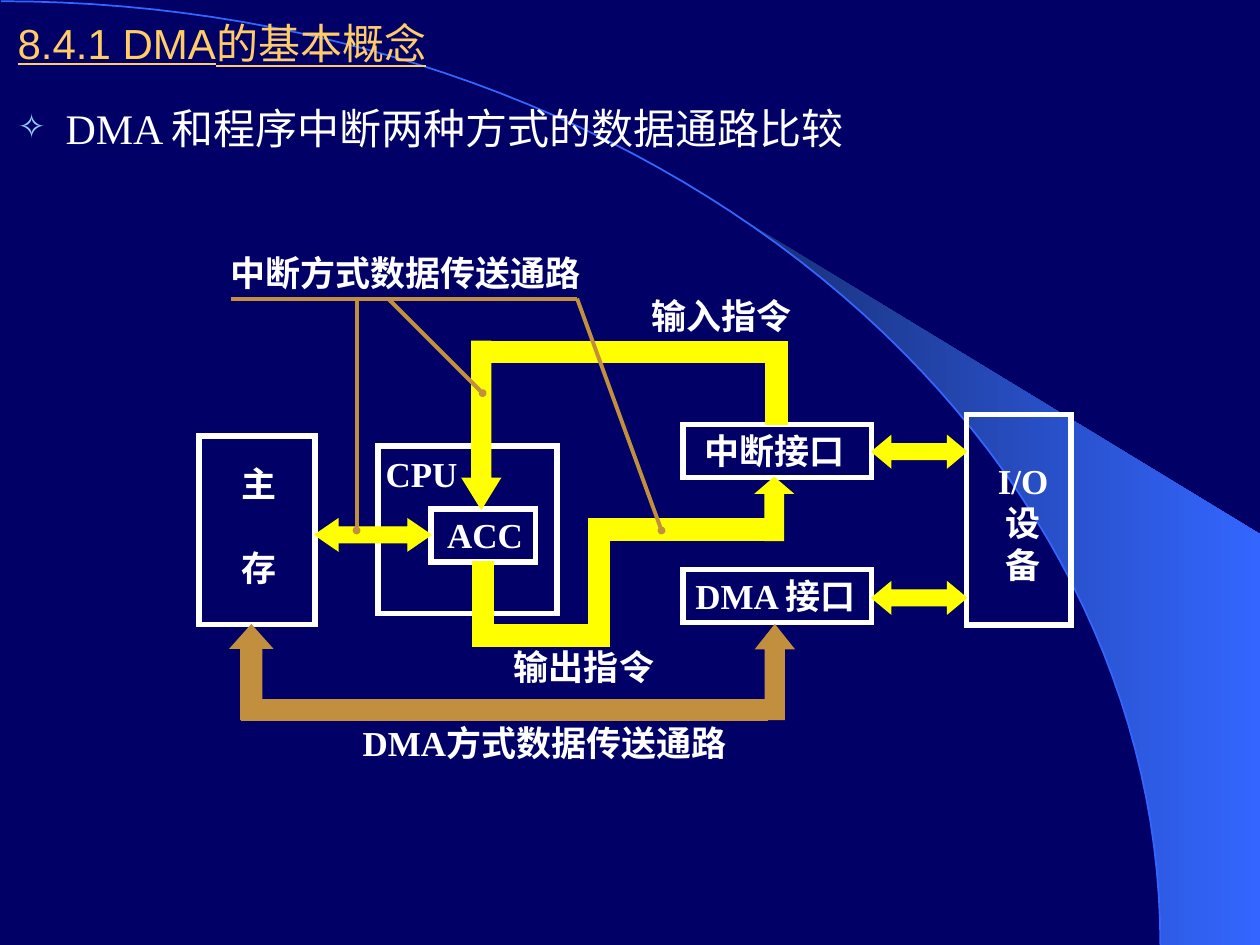
from math import asin, cos, pi, sin

from lxml import etree
from pptx import Presentation
from pptx.dml.color import RGBColor
from pptx.enum.shapes import MSO_CONNECTOR, MSO_SHAPE as SHAPE
from pptx.enum.text import MSO_ANCHOR, MSO_AUTO_SIZE as AUTO, PP_ALIGN
from pptx.oxml.ns import qn
from pptx.util import Inches, Pt

COLORS = {
    "navy": "000066", "white": "FFFFFF", "gold": "FFCC66", "bullet": "99CCFF",
    "yellow": "FFFF00", "bronze": "C28F3E", "arc": "3366FF", "shade": "182F76",
}
SANS, SERIF = "Arial", "Times New Roman"


def color(key):
    return RGBColor.from_string(COLORS[key])


def inches(*values):
    return [Inches(value) for value in values]


def add_run(paragraph, text, size, font, key, bold=False, underline=False):
    run = paragraph.add_run()
    run.text = text
    run.font.size, run.font.name = Pt(size), font
    run.font.bold, run.font.underline = bold, underline
    run.font.color.rgb = color(key)


def fit_placeholder(placeholder, box):
    placeholder.left, placeholder.top, placeholder.width, placeholder.height = inches(*box)
    frame = placeholder.text_frame
    frame.auto_size = AUTO.NONE
    frame.word_wrap = True
    paragraph = frame.paragraphs[0]
    paragraph.alignment = PP_ALIGN.LEFT
    return frame, paragraph


def add_title(slide, box):
    frame, heading = fit_placeholder(slide.shapes.title, box)
    frame.vertical_anchor = MSO_ANCHOR.MIDDLE
    add_run(heading, "8.4.1 DMA的基本概念", 24, SANS, "gold", underline=True)


def add_topic(slide, box):
    frame, topic = fit_placeholder(slide.placeholders[1], box)
    frame.vertical_anchor = MSO_ANCHOR.TOP
    properties = topic._p.get_or_add_pPr()
    properties.set("marL", str(Inches(0.38)))
    properties.set("indent", str(-Inches(0.38)))
    bullet_color = etree.SubElement(properties, qn("a:buClr"))
    etree.SubElement(bullet_color, qn("a:srgbClr"), val=COLORS["bullet"])
    etree.SubElement(properties, qn("a:buSzPct"), val="80000")
    etree.SubElement(properties, qn("a:buChar"), char="✧")
    topic.space_before = Pt(0)
    add_run(topic, "DMA 和程序中断两种方式的数据通路比较", 24, SERIF, "white")


def add_outline(slide, points, close):
    builder = slide.shapes.build_freeform(*inches(*points[0]), scale=1.0)
    builder.add_line_segments([inches(*point) for point in points[1:]], close=close)
    outline = builder.convert_to_shape()
    outline.shadow.inherit = False
    slide.shapes.title.element.addprevious(outline.element)
    return outline


def add_backdrop(slide, box):
    slide.background.fill.solid()
    slide.background.fill.fore_color.rgb = color("navy")
    left, top, width, height = box
    bottom = top + height

    def arc_points(start, steps):
        angles = [start + (pi / 2 - start) * step / steps for step in range(steps + 1)]
        return [(left + width * sin(a), bottom - height * cos(a)) for a in angles]

    beam_points = arc_points(asin(0.64), 30) + [(10, bottom), (10, 4.24)]
    beam = add_outline(slide, beam_points, True)
    beam.line.fill.background()
    beam.fill.gradient()
    beam.fill.gradient_angle = 0
    for stop, key, position in zip(beam.fill.gradient_stops, ("shade", "arc"), (0, 1)):
        stop.color.rgb = color(key)
        stop.position = position

    arc = add_outline(slide, arc_points(0, 60), False)
    arc.fill.background()
    arc.line.color.rgb = color("arc")
    arc.line.width = Pt(1)


def add_label(slide, box, *lines, inset=0.1, gap=0, align=PP_ALIGN.LEFT):
    frame = slide.shapes.add_textbox(*inches(*box)).text_frame
    frame.word_wrap = False
    frame.margin_left = Inches(inset)
    for index, line in enumerate(lines):
        paragraph = frame.add_paragraph() if index else frame.paragraphs[0]
        paragraph.alignment = align
        if index and gap:
            paragraph.space_before = Pt(gap)
        add_run(paragraph, line, 20, SERIF, "white", bold=True)


def draw_border(shape, key, width):
    shape.shadow.inherit = False
    shape.line.color.rgb = color(key)
    shape.line.width = Pt(width)
    etree.SubElement(shape.line._get_or_add_ln(), qn("a:miter"), lim="800000")


def add_frame(slide, box):
    frame = slide.shapes.add_shape(SHAPE.RECTANGLE, *inches(*box))
    frame.fill.background()
    draw_border(frame, "white", 3)


def add_path(slide, kind, box, key, head=None):
    part = slide.shapes.add_shape(kind, *inches(*box))
    part.fill.solid()
    part.fill.fore_color.rgb = color(key)
    draw_border(part, key, 0.75)
    if head:
        part.adjustments[0], part.adjustments[1] = 0.5, head


def add_leader(slide, start, end, dot=True):
    leader = slide.shapes.add_connector(MSO_CONNECTOR.STRAIGHT, *inches(*start, *end))
    leader.line.color.rgb = color("bronze")
    leader.line.width = Pt(2.25)
    if dot:
        etree.SubElement(leader.line._get_or_add_ln(), qn("a:tailEnd"),
                         type="oval", w="sm", len="sm")
    etree.SubElement(leader.element.spPr, qn("a:effectLst"))


def add_diagram(slide, box):
    x, y = box[:2]

    def at(left, top, *size):
        return (x + left, y + top, *size)

    for unit in [(1.42, 1.59, 1.42, 1.33), (0, 1.51, 0.92, 1.5),
                 (1.84, 2.09, 0.83, 0.42), (3.84, 1.42, 1.5, 0.42),
                 (3.84, 2.57, 1.5, 0.42), (6.09, 1.34, 0.83, 1.67)]:
        add_frame(slide, at(*unit))

    add_label(slide, at(1.42, 1.59, 1.25, 0.44), "CPU", inset=0.06)
    add_label(slide, at(0.24, 1.67, 0.48, 1.1), "主", "存", gap=24)
    add_label(slide, at(1.87, 2.08, 0.8, 0.42), "ACC")
    add_label(slide, at(3.84, 1.41, 1.5, 0.44), "中断接口", inset=0.17)
    add_label(slide, at(3.84, 2.56, 1.56, 0.44), "DMA 接口")
    add_label(slide, at(6.24, 1.65, 0.6, 1.1), "I/O", "设", "备", align=PP_ALIGN.CENTER)

    bar, up, down, both = (SHAPE.RECTANGLE, SHAPE.UP_ARROW, SHAPE.DOWN_ARROW,
                           SHAPE.LEFT_RIGHT_ARROW)
    output_path = [(bar, (2.17, 2.51, 0.17, 0.58)), (bar, (2.17, 3.01, 1, 0.17)),
                   (bar, (3.09, 2.26, 0.17, 0.92)), (bar, (3.09, 2.17, 1.5, 0.17)),
                   (up, (4.42, 1.84, 0.29, 0.5), 0.43)]
    input_path = [(bar, (4.5, 0.84, 0.17, 0.58)), (bar, (2.17, 0.76, 2.5, 0.17)),
                  (down, (2.09, 0.76, 0.3, 1.33), 0.81)]
    links = [(both, (0.92, 2.17, 0.92, 0.25), 0.73),
             (both, (5.34, 1.51, 0.75, 0.25), 0.6),
             (both, (5.34, 2.67, 0.75, 0.25), 0.6)]
    dma_path = [(up, (0.25, 3.01, 0.33, 0.75), 0.56), (bar, (0.34, 3.6, 4.17, 0.17)),
                (up, (4.42, 3.01, 0.3, 0.75), 0.63)]
    for key, parts in (("yellow", output_path + input_path + links), ("bronze", dma_path)):
        for kind, part, *head in parts:
            add_path(slide, kind, at(*part), key, *head)

    add_leader(slide, at(0.25, 0.42), at(3, 0.42), dot=False)
    for start, end in [((1.25, 0.42), (1.25, 2.26)), ((1.5, 0.42), (2.25, 1.17)),
                       ((3, 0.42), (3.67, 2.26))]:
        add_leader(slide, at(*start), at(*end))

    add_label(slide, at(0.15, 0, 2.98, 0.44), "中断方式数据传送通路")
    add_label(slide, at(3.49, 0.34, 1.31, 0.44), "输入指令")
    add_label(slide, at(2.4, 3.12, 1.31, 0.44), "输出指令")
    add_label(slide, at(1.2, 3.73, 3.16, 0.44), "DMA方式数据传送通路")


def main():
    deck = Presentation()
    deck.slide_width, deck.slide_height = inches(10, 7.5)
    slide = deck.slides.add_slide(deck.slide_layouts[1])
    add_backdrop(slide, (0.01, 0.01, 9.2, 7.49))
    add_title(slide, (0.04, 0.08, 9.84, 0.52))
    add_topic(slide, (0.04, 0.76, 9.88, 6.62))
    add_diagram(slide, (1.58, 1.95, 6.92, 4.17))
    deck.save("out.pptx")


if __name__ == "__main__":
    main()
